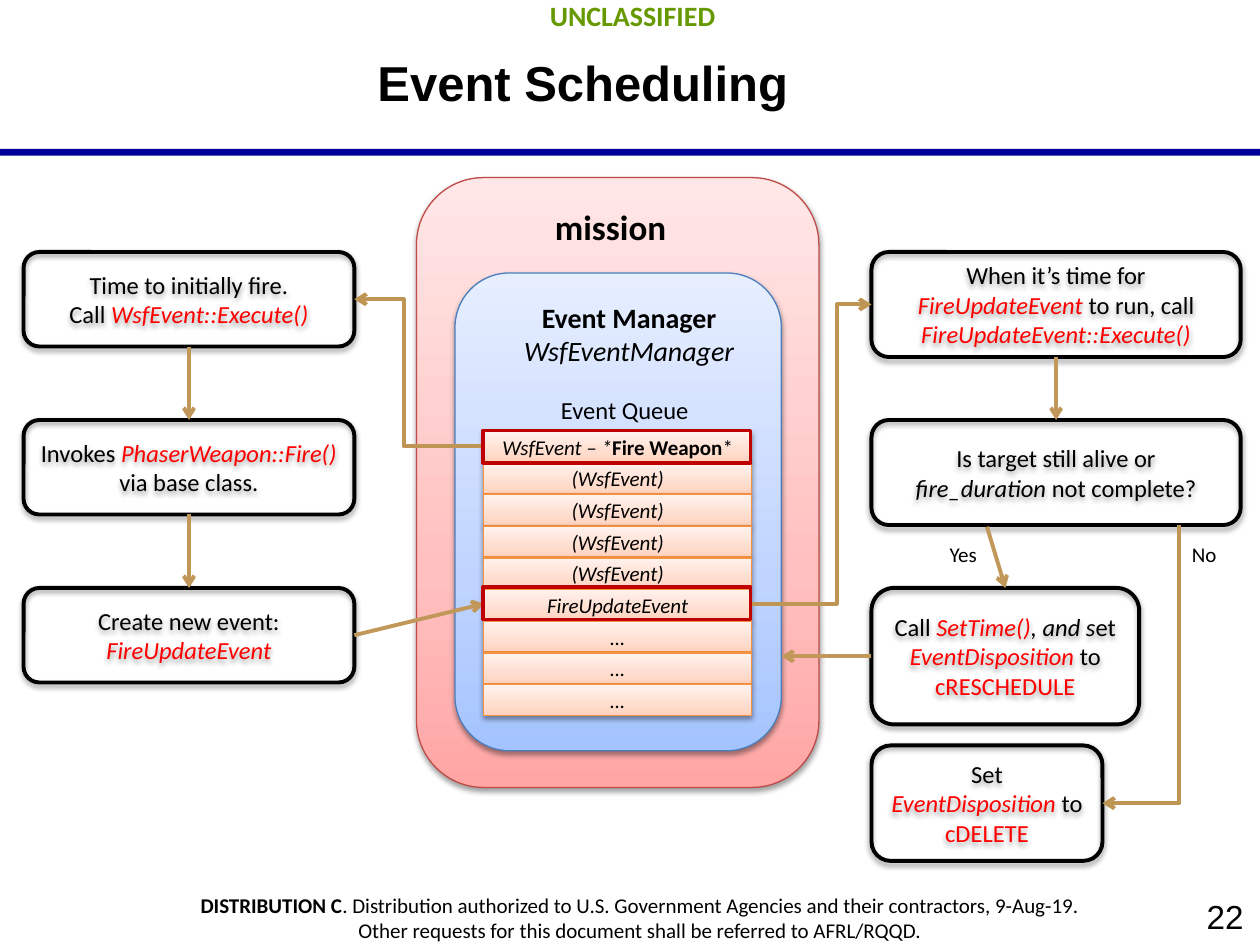
from copy import deepcopy

from pptx import Presentation
from pptx.dml.color import RGBColor
from pptx.enum.shapes import MSO_CONNECTOR, MSO_SHAPE
from pptx.enum.text import MSO_ANCHOR, PP_ALIGN
from pptx.oxml import parse_xml
from pptx.oxml.ns import nsdecls, qn
from pptx.util import Pt

RECTANGLE = MSO_SHAPE.RECTANGLE
ROUNDED = MSO_SHAPE.ROUNDED_RECTANGLE
STRAIGHT = MSO_CONNECTOR.STRAIGHT
ELBOW = MSO_CONNECTOR.ELBOW
LEFT, CENTER, RIGHT = PP_ALIGN.LEFT, PP_ALIGN.CENTER, PP_ALIGN.RIGHT
TOP, MIDDLE = MSO_ANCHOR.TOP, MSO_ANCHOR.MIDDLE

COLORS = {
    "black": "000000",
    "code": "FF0000",
    "marking": "669900",
    "bar": "000099",
    "mission": "BF4C48",
    "manager": "4B7EBC",
    "queue": "F69240",
    "highlight": "C00000",
    "arrow": "C19859",
    "elbow": "BF9554",
}
GRADIENTS = {
    "mission": ("FFA6A5", "FFC0BF", "FFE7E7"),
    "manager": ("A4C4FF", "BFD4FF", "E6EEFF"),
    "queue": ("FFD2BD", "FFDED0", "FFF2ED"),
}
STOPS = (0, 0.35, 1)
WIDE_INSETS = (9.4, 5)
QUEUE_LEFT, QUEUE_TOP, QUEUE_WIDTH, QUEUE_PITCH = 276.5, 246.5, 153, 18.1
QUEUE = [
    [("WsfEvent – *", "i"), ("Fire Weapon", "b"), ("*", "")],
    *[[("(WsfEvent)", "i")]] * 4,
    [("FireUpdateEvent", "i")],
    *[[("…", "i")]] * 3,
]
STEPS = [
    ((13.5, 144, 189, 54), [[("Time to initially fire.", "")],
                            [("Call ", ""), ("WsfEvent::Execute()", "ic")]]),
    ((13.5, 240, 189, 54), [[("Invokes ", ""), ("PhaserWeapon::Fire()", "ic")],
                            [("via base class.", "")]]),
    ((13.5, 336, 189, 54), [[("Create new event: ", ""), ("FireUpdateEvent", "ic")]]),
    ((498, 144, 211, 60), [[("When it’s time for ", ""), ("FireUpdateEvent", "ic"),
                            (" to run, call ", ""), ("FireUpdateEvent::Execute()", "ic")]]),
    ((498, 240, 211, 60), [[("Is target still alive or ", ""), ("fire_duration ", "i"),
                            ("not complete?", "")]]),
    ((498, 336, 153, 78), [[("Call ", ""), ("SetTime()", "ic"), (", and s", "i"), ("et ", ""),
                            ("EventDisposition ", "ic"), ("to ", ""), ("cRESCHEDULE", "c")]]),
    ((498, 426, 132, 66), [[("Set ", ""), ("EventDisposition ", "ic"),
                            ("to ", ""), ("cDELETE", "c")]]),
]
ARROWS = [
    (108, 198, 108, 240),
    (108, 294, 108, 336),
    (202.5, 363, 276.5, 345),
    (603.5, 204, 603.5, 240),
    (564, 301, 574.5, 336),
    (498, 375, 446.5, 375),
]


def rgb(hex_string):
    """Turn a hex string into a colour."""
    return RGBColor.from_string(hex_string)


def write(shape, lines, size, color="black", font="Calibri", align=CENTER,
          anchor=MIDDLE, insets=(7.2, 3.6), wrap=True):
    """Fill a shape with paragraphs of (text, style) spans: b bold, i italic, c code."""
    frame = shape.text_frame
    frame.word_wrap = wrap
    frame.vertical_anchor = anchor
    frame.margin_left = frame.margin_right = Pt(insets[0])
    frame.margin_top = frame.margin_bottom = Pt(insets[1])
    frame.text = "\n".join([""] * len(lines))
    for paragraph, line in zip(frame.paragraphs, lines):
        paragraph.alignment = align
        for text, style in line:
            span = paragraph.add_run()
            span.text = text
            span.font.name = font
            span.font.size = Pt(size)
            span.font.bold = "b" in style
            span.font.italic = "i" in style
            span.font.color.rgb = rgb(COLORS["code" if "c" in style else color])


def add_text(page, box, lines, size, **options):
    """Add a text box."""
    write(page.shapes.add_textbox(*map(Pt, box)), lines, size, **{"anchor": TOP, **options})


def add_box(page, kind, box, line=None, width=0.75, fill=None):
    """Add a preset shape with plain outline and fill."""
    shape = page.shapes.add_shape(kind, *map(Pt, box))
    shape.shadow.inherit = False
    if fill:
        shape.fill.solid()
        shape.fill.fore_color.rgb = rgb(COLORS[fill])
    else:
        shape.fill.background()
    if line:
        shape.line.color.rgb = rgb(COLORS[line])
        shape.line.width = Pt(width)
    else:
        shape.line.fill.background()
    return shape


def add_shadow(shape):
    """Give a shape a soft shadow below it."""
    effects = shape._element.spPr.find(qn("a:effectLst"))
    effects.append(parse_xml(
        f'<a:outerShdw {nsdecls("a")} blurRad="40000" dist="20000" dir="5400000" '
        'rotWithShape="0"><a:srgbClr val="000000"><a:alpha val="38000"/></a:srgbClr>'
        '</a:outerShdw>'))


def add_panel(page, kind, box, theme):
    """Add a shadowed shape with a three-stop gradient rising from its foot."""
    shape = add_box(page, kind, box, theme)
    shape.fill.gradient()
    shape.fill.gradient_angle = 90
    stop_list = shape._element.spPr.find(".//" + qn("a:gsLst"))
    stop_list.append(deepcopy(stop_list[-1]))
    for stop, position, color in zip(shape.fill.gradient_stops, STOPS, GRADIENTS[theme]):
        stop.position = position
        stop.color.rgb = rgb(color)
    add_shadow(shape)
    return shape


def add_step(page, box, lines):
    """Add a black-outlined step of the flow."""
    shape = add_box(page, ROUNDED, box, "black", 2.25)
    add_shadow(shape)
    write(shape, lines, 14)


def add_arrow(page, ends, kind=STRAIGHT, color="arrow", arrow_end="tailEnd"):
    """Add a connector with an open arrowhead."""
    arrow = page.shapes.add_connector(kind, *map(Pt, ends))
    arrow.line.color.rgb = rgb(COLORS[color])
    arrow.line.width = Pt(2.25)
    properties = arrow._element.spPr
    properties.find(qn("a:ln")).append(
        parse_xml(f'<a:{arrow_end} {nsdecls("a")} type="arrow"/>'))
    properties.append(parse_xml(f'<a:effectLst {nsdecls("a")}/>'))
    return arrow


def add_elbow(page, ends, bend):
    """Add a three-part elbow arrow that turns at the given share of its width."""
    geometry = add_arrow(page, ends, ELBOW, "elbow")._element.spPr.find(qn("a:prstGeom"))
    guides = geometry.get_or_add_avLst()
    guides.append(parse_xml(
        f'<a:gd {nsdecls("a")} name="adj1" fmla="val {round(bend * 100000)}"/>'))


def add_corner(page, ends):
    """Add a one-turn arrow whose head sits at its first end."""
    arrow = add_arrow(page, ends, ELBOW, "elbow", "headEnd")
    arrow._element.spPr.find(qn("a:prstGeom")).set("prst", "bentConnector2")


def add_frame(page):
    """Add the title, rule, marking, distribution statement and page number."""
    add_box(page, RECTANGLE, (0, 85, 720, 4), fill="bar")
    title = page.shapes.title
    title.left, title.top, title.width, title.height = map(Pt, (72, 2, 522, 90))
    write(title, [[("Event Scheduling", "b")]], 28, font="Arial", insets=WIDE_INSETS)
    add_text(page, (1.5, -6, 720, 29), [[("UNCLASSIFIED", "b")]], 16,
             color="marking", insets=WIDE_INSETS)
    add_text(page, (5, 505, 721.5, 39), [
        [("DISTRIBUTION C", "b"), (". Distribution authorized to U.S. Government Agencies "
                                   "and their contractors, 9-Aug-19.", "")],
        [("Other requests for this document shall be referred to AFRL/RQQD.", "")],
    ], 12, insets=WIDE_INSETS)
    add_text(page, (576, 507.5, 144, 32.5), [[("22", "")]], 19, font="Arial",
             align=RIGHT, anchor=MIDDLE, insets=WIDE_INSETS)


def add_mission(page):
    """Add the mission panel with the event manager and its queue."""
    add_panel(page, ROUNDED, (238, 101.5, 230, 348.5), "mission")
    add_text(page, (310, 114, 98, 31.5), [[("mission", "b")]], 20, align=LEFT)
    add_panel(page, ROUNDED, (260, 156, 186.5, 273), "manager")
    add_text(page, (280, 168, 159, 46),
             [[("Event Manager", "b")], [("WsfEventManager", "i")]], 16)
    add_text(page, (294, 222, 126, 24), [[("Event Queue", "")]], 14)
    for index, line in enumerate(QUEUE):
        top = QUEUE_TOP + index * QUEUE_PITCH
        row = add_panel(page, RECTANGLE, (QUEUE_LEFT, top, QUEUE_WIDTH, 17.5), "queue")
        write(row, [line], 12)


def main():
    """Build the deck."""
    deck = Presentation()
    deck.slide_width, deck.slide_height = Pt(720), Pt(540)
    page = deck.slides.add_slide(deck.slide_layouts[5])
    add_frame(page)
    add_mission(page)
    for box, lines in STEPS:
        add_step(page, box, lines)
    for ends in ARROWS:
        add_arrow(page, ends)
    add_elbow(page, (276.5, 255, 202.5, 171), 0.62)
    add_elbow(page, (429.5, 345, 498, 174), 0.71)
    add_corner(page, (630, 459, 674, 300))
    for left, label in ((535.5, "Yes"), (674, "No")):
        add_text(page, (left, 306, 34, 22), [[(label, "")]], 12, align=LEFT, wrap=False)
    for top in (246, 335.5):
        add_box(page, RECTANGLE, (276, top, QUEUE_WIDTH, 18.5), "highlight", 2)
    deck.save("out.pptx")


if __name__ == "__main__":
    main()
